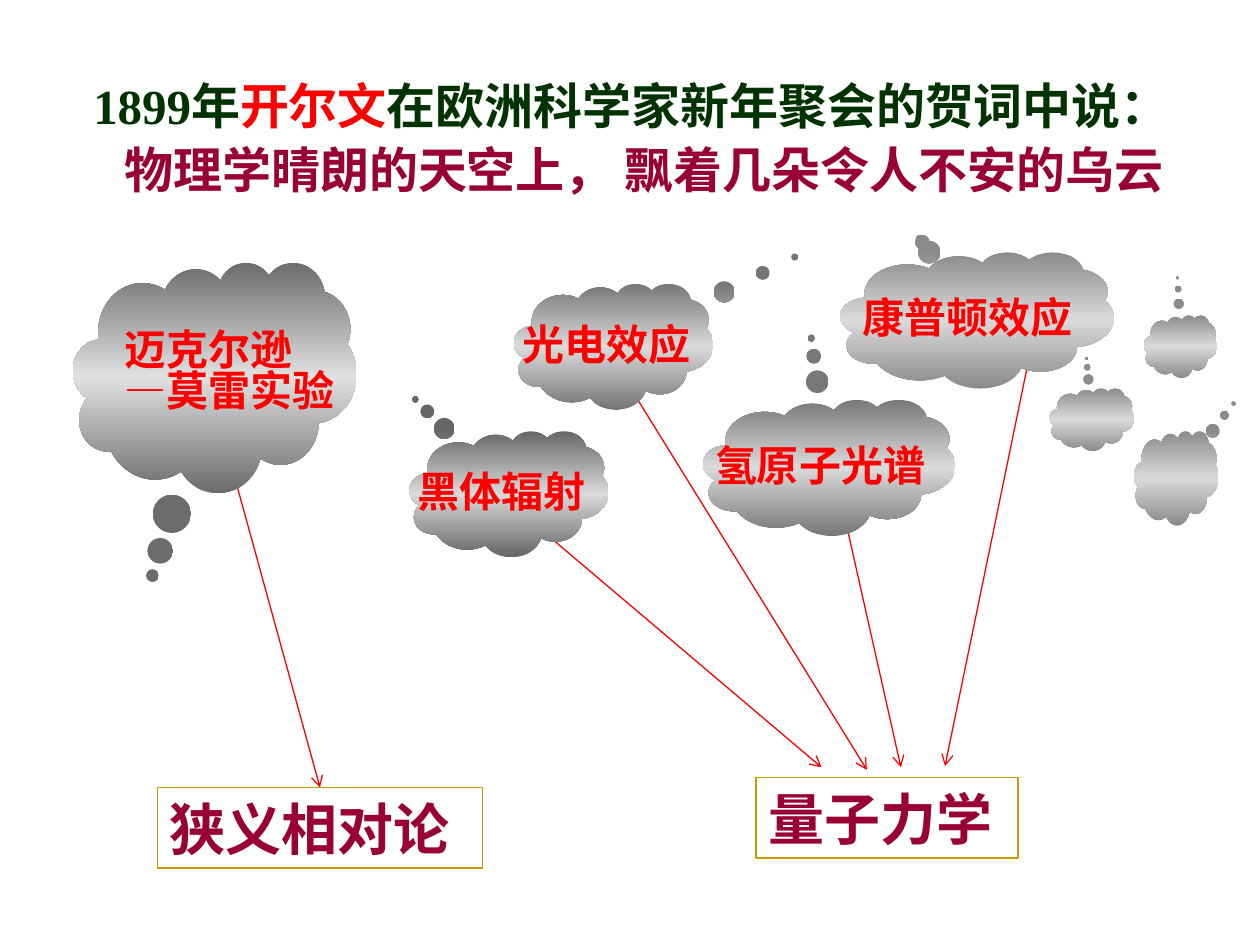
from copy import deepcopy
from dataclasses import dataclass

from lxml import etree
from pptx import Presentation
from pptx.dml.color import RGBColor
from pptx.enum.shapes import MSO_CONNECTOR, MSO_SHAPE
from pptx.enum.text import MSO_ANCHOR, MSO_AUTO_SIZE, PP_ALIGN
from pptx.oxml.ns import qn
from pptx.util import Inches, Pt

CLOUD = MSO_SHAPE.CLOUD_CALLOUT
RECTANGLE = MSO_SHAPE.RECTANGLE
STRAIGHT = MSO_CONNECTOR.STRAIGHT
LEFT, CENTER, JUSTIFY = PP_ALIGN.LEFT, PP_ALIGN.CENTER, PP_ALIGN.JUSTIFY
TOP, MIDDLE = MSO_ANCHOR.TOP, MSO_ANCHOR.MIDDLE
TOP_SIDE = 0


@dataclass(frozen=True)
class Theme:
    green: str = "003300"
    red: str = "FF0000"
    crimson: str = "990033"
    gold: str = "CC9900"
    serif: str = "Times New Roman"
    sans: str = "Noto Sans CJK SC"
    title_size: int = 28
    cloud_size: int = 24
    theory_size: int = 32
    line_width: float = 0.75


THEME = Theme()


@dataclass(frozen=True)
class Cloud:
    box: tuple[float, float, float, float]
    tail: tuple[float, float]
    edge: str
    middle: str = "DADADA"
    lines: tuple[str, ...] = ()
    font: str = THEME.serif
    alignment: PP_ALIGN = CENTER
    spacings: tuple[float, ...] = (1.0,)
    bottom_inset: float = 0.05


@dataclass(frozen=True)
class Theory:
    box: tuple[float, float, float, float]
    name: str


CLOUDS = (
    Cloud((3.25, 3.42, 1.58, 1), (-0.47, -0.75), "666666", lines=("黑体辐射",)),
    Cloud((0.58, 2.08, 2.25, 1.83), (-0.22, 0.86), "6C6C6C", "E0E0E0",
          ("迈克尔逊", "—莫雷实验"), THEME.sans, LEFT, (1.9, 0.8), 0.45),
    Cloud((4.08, 2.25, 1.58, 1), (0.91, -0.71), "767676", lines=("光电效应",)),
    Cloud((5.58, 3.17, 2, 1.08), (-0.07, -0.95), "787878", lines=("氢原子光谱",)),
    Cloud((6.67, 2, 2.17, 1.08), (-0.21, -0.6), "8B8B8B", lines=("康普顿效应",),
          font=THEME.sans),
    # Small clouds without a name
    Cloud((9.08, 2.5, 0.58, 0.5), (-0.04, -1.09), "8B8B8B"),
    Cloud((9, 3.42, 0.67, 0.75), (0.68, -0.79), "8B8B8B"),
    Cloud((8.33, 3.08, 0.67, 0.5), (-0.06, -0.97), "8B8B8B"),
)
QUANTUM = Theory((6, 6.17, 2.08, 0.64), "量子力学")
RELATIVITY = Theory((1.25, 6.25, 2.58, 0.64), "狭义相对论")
RELATIVITY_ARROW = ((1.83, 3.67), (2.54, 6.25))
QUANTUM_ARROWS = (
    ((4.29, 4.2), (6.52, 6.09)),
    ((4.93, 2.96), (6.88, 6.11)),
    ((6.71, 4.13), (7.15, 6.09)),
    ((8.17, 2.83), (7.5, 6.08)),
)


def add_run(paragraph, text: str, font: str, size: int, color: str) -> None:
    run = paragraph.add_run()
    run.text = text
    run.font.name = font
    run.font.size = Pt(size)
    run.font.bold = True
    run.font.color.rgb = RGBColor.from_string(color)


def set_frame(frame, wrap: bool, anchor: MSO_ANCHOR) -> None:
    frame.word_wrap = wrap
    frame.auto_size = MSO_AUTO_SIZE.NONE
    frame.vertical_anchor = anchor
    frame.margin_left = frame.margin_right = Inches(0.1)
    frame.margin_top = frame.margin_bottom = Inches(0.05)


def next_paragraph(frame, index: int):
    return frame.add_paragraph() if index else frame.paragraphs[0]


def format_title(title) -> None:
    title.left, title.top = Inches(0.25), Inches(0.5)
    title.width, title.height = Inches(9.33), Inches(1.13)
    frame = title.text_frame
    set_frame(frame, True, TOP)
    rows = (
        (LEFT, (("1899年", THEME.green), ("开尔文", THEME.red),
                ("在欧洲科学家新年聚会的贺词中说：", THEME.green))),
        (CENTER, (("物理学晴朗的天空上， 飘着几朵令人不安的乌云", THEME.crimson),)),
    )
    for index, (alignment, runs) in enumerate(rows):
        paragraph = next_paragraph(frame, index)
        paragraph.alignment = alignment
        paragraph.line_spacing = 1.1
        paragraph.space_before = Pt(0)
        if alignment == LEFT:
            paragraph._p.get_or_add_pPr().set("marL", str(Inches(0.39)))
        for text, color in runs:
            add_run(paragraph, text, THEME.serif, THEME.title_size, color)


def add_theory(slide, theory: Theory):
    shape = slide.shapes.add_shape(RECTANGLE, *map(Inches, theory.box))
    shape.shadow.inherit = False
    shape.fill.background()
    shape.line.color.rgb = RGBColor.from_string(THEME.gold)
    shape.line.width = Pt(THEME.line_width)
    set_frame(shape.text_frame, True, MIDDLE)
    paragraph = shape.text_frame.paragraphs[0]
    paragraph.alignment = JUSTIFY
    add_run(paragraph, theory.name, THEME.sans, THEME.theory_size, THEME.crimson)
    return shape


def add_arrow(slide, start: tuple[float, float], end: tuple[float, float]):
    connector = slide.shapes.add_connector(STRAIGHT, *map(Inches, start + end))
    connector.line.color.rgb = RGBColor.from_string(THEME.red)
    connector.line.width = Pt(THEME.line_width)
    line = connector.line._get_or_add_ln()
    etree.SubElement(line, qn("a:tailEnd"), type="arrow")
    etree.SubElement(connector._element.spPr, qn("a:effectLst"))
    return connector


def fill_cloud(shape, edge: str, middle: str) -> None:
    shape.fill.gradient()
    shape.fill.gradient_angle = 270
    stop_list = shape._element.spPr.find(qn("a:gradFill")).find(qn("a:gsLst"))
    stop_list.append(deepcopy(stop_list[-1]))
    stops = zip(shape.fill.gradient_stops, (0, 0.5, 1), (edge, middle, edge))
    for stop, position, color in stops:
        stop.position = position
        stop.color.rgb = RGBColor.from_string(color)


def add_cloud(slide, cloud: Cloud) -> None:
    shape = slide.shapes.add_shape(CLOUD, *map(Inches, cloud.box))
    shape.shadow.inherit = False
    shape.line.fill.background()
    shape.adjustments[0], shape.adjustments[1] = cloud.tail
    fill_cloud(shape, cloud.edge, cloud.middle)
    frame = shape.text_frame
    set_frame(frame, False, MIDDLE)
    frame.margin_bottom = Inches(cloud.bottom_inset)
    for index, (text, spacing) in enumerate(zip(cloud.lines, cloud.spacings)):
        paragraph = next_paragraph(frame, index)
        paragraph.alignment = cloud.alignment
        paragraph.line_spacing = spacing
        add_run(paragraph, text, cloud.font, THEME.cloud_size, THEME.red)


def main() -> None:
    presentation = Presentation()
    presentation.slide_width, presentation.slide_height = Inches(10), Inches(7.5)
    slide = presentation.slides.add_slide(presentation.slide_layouts[5])
    format_title(slide.shapes.title)

    # Theories at the bottom
    add_theory(slide, QUANTUM)
    relativity = add_theory(slide, RELATIVITY)

    # Arrows from clouds to theories, behind the clouds
    add_arrow(slide, *RELATIVITY_ARROW).end_connect(relativity, TOP_SIDE)
    for start, end in QUANTUM_ARROWS:
        add_arrow(slide, start, end)

    # Clouds in the sky
    for cloud in CLOUDS:
        add_cloud(slide, cloud)

    presentation.save("out.pptx")


if __name__ == "__main__":
    main()
